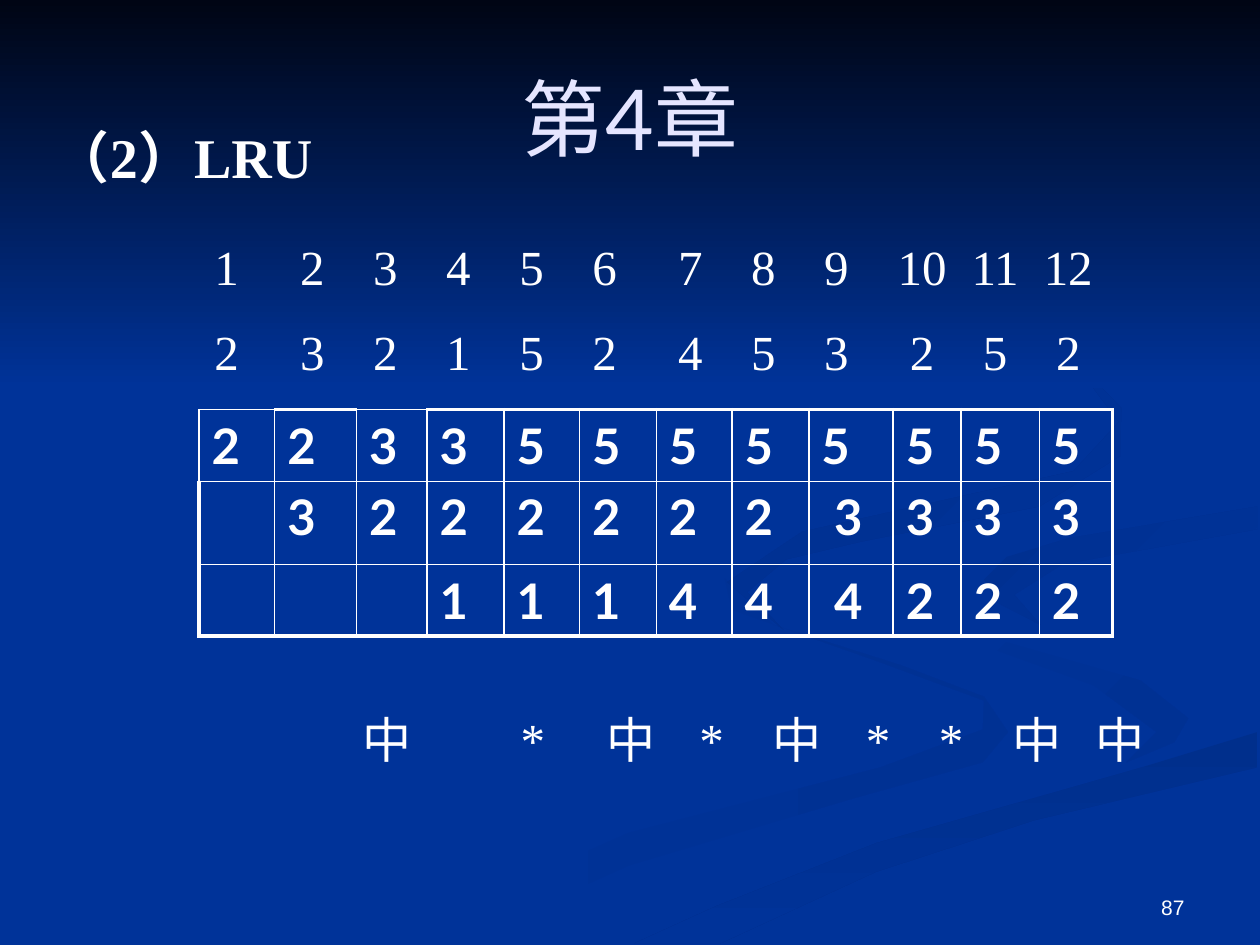
"""Build a slide that traces LRU page replacement over twelve references."""
from itertools import accumulate

from pptx import Presentation
from pptx import util as u
from pptx.dml.color import RGBColor
from pptx.enum import text
from pptx.oxml import parse_xml
from pptx.oxml.ns import nsdecls

COLORS = {"blue": "003399", "night": "000514", "white": "FFFFFF", "title": "E5E5FF",
          "wave": "003193", "swoosh": "002F8C", "ribbon": "003091", "loop": "002F8E"}
SERIF = "Times New Roman"

TITLE = "第4章"
SUBTITLE = "（2）LRU"
PAGE_NUMBER = "87"
STEPS = [str(step) for step in range(1, 13)]
REFERENCES = list("232152453252")
FRAMES = ["223355555555", " 32222223333", "   111444222"]
MARKS = list("中*中*中**中中")

FIRST_STEP, STEP_GAP, WIDE_GAP = 1.8, 0.58, 0.68
WIDE_STEPS = {"2", "7", "10"}
STEP_CENTERS = list(accumulate(
    (WIDE_GAP if step in WIDE_STEPS else STEP_GAP for step in STEPS[1:]), initial=FIRST_STEP))
MARK_CENTERS = [3.07, 4.23, 5.01, 5.65, 6.33, 6.97, 7.55, 8.23, 8.89]
COLUMN_WIDTHS = [0.6, 0.65, 0.56, 0.61, 0.6, 0.61, 0.6, 0.61, 0.67, 0.54, 0.62, 0.58]
ROW_HEIGHTS = [0.57, 0.66, 0.57]
THIN, THICK = 1, 2.25
THIN_EDGES = {(0, 0, "L"), (0, 0, "T"), (0, 2, "T")}
INDENTED_CELLS = {(1, 8), (2, 8)}

# Outlines are in hundredths of an inch: (first colour, last colour, angle, points).
BACKDROP = [
    ("blue", "wave", 0, [
        (781, 553), (715, 528), (614, 496), (575, 459), (581, 484), (697, 525), (781, 556),
        (780, 579), (699, 609), (499, 661), (300, 749), (361, 749), (499, 687), (676, 634),
        (780, 605), (800, 581)]),
    ("blue", "wave", 45, [
        (943, 570), (905, 540), (758, 498), (724, 464), (746, 500), (868, 544), (918, 581),
        (894, 605), (932, 589)]),
    ("swoosh", "blue", 90, [
        (503, 749), (571, 749), (695, 692), (821, 651), (998, 609), (998, 581), (903, 610),
        (696, 669), (569, 719)]),
    ("ribbon", "blue", 45, [
        (781, 460), (791, 478), (826, 496), (805, 472), (843, 448), (998, 420), (998, 402),
        (849, 427), (799, 442)]),
    ("loop", "blue", 45, [
        (683, 430), (825, 402), (889, 362), (890, 324), (843, 275), (762, 233), (846, 279),
        (888, 335), (852, 374), (637, 422), (577, 462), (622, 500), (593, 470), (624, 444)]),
    ("night", "blue", 90, [(0, 0), (0, 308), (1000, 308), (1000, 0)]),
]


def rgb(name):
    return RGBColor.from_string(COLORS[name])


def add_outline(page, first, last, angle, points):
    builder = page.shapes.build_freeform(*points[0], scale=u.Inches(0.01))
    builder.add_line_segments(points[1:], close=True)
    shape = builder.convert_to_shape()
    shape.shadow.inherit = False
    shape.line.fill.background()
    shape.fill.gradient()
    shape.fill.gradient_angle = (360 - angle) % 360
    for stop, name in zip(shape.fill.gradient_stops, (first, last)):
        stop.color.rgb = rgb(name)


def style(paragraph, size, font, color="white", bold=False):
    for span in paragraph.runs:
        span.font.size = u.Pt(size)
        span.font.name = font
        span.font.bold = bold
        span.font.color.rgb = rgb(color)


def add_text(page, left, top, width, height, lines, size, font, bold=False, centers=()):
    box = page.shapes.add_textbox(*map(u.Inches, (left, top, width, height)))
    frame = box.text_frame
    frame.word_wrap = True
    frame.text = "\n".join(lines)
    for index, paragraph in enumerate(frame.paragraphs):
        if centers:
            stops = "".join(f'<a:tab pos="{u.Inches(center - left - 0.1)}" algn="ctr"/>'
                            for center in centers)
            paragraph._p.get_or_add_pPr().append(
                parse_xml(f'<a:tabLst {nsdecls("a")}>{stops}</a:tabLst>'))
        if index:
            paragraph.space_before = u.Pt(15)
        style(paragraph, size, font, bold=bold)
    return frame


def tabbed(entries):
    return "".join("\t" + entry for entry in entries)


def set_borders(cell, row, column):
    outer = {"L": column == 0, "R": column == len(COLUMN_WIDTHS) - 1,
             "T": row == 0, "B": row == len(ROW_HEIGHTS) - 1}
    properties = cell._tc.get_or_add_tcPr()
    for position, (side, is_outer) in enumerate(outer.items()):
        thick = is_outer and (row, column, side) not in THIN_EDGES
        properties.insert(position, parse_xml(
            f'<a:ln{side} {nsdecls("a")} w="{u.Pt(THICK if thick else THIN)}"><a:solidFill>'
            f'<a:srgbClr val="{COLORS["white"]}"/></a:solidFill></a:ln{side}>'))


def add_frames(page):
    table = page.shapes.add_table(
        len(FRAMES), len(COLUMN_WIDTHS), u.Inches(1.58), u.Inches(3.25),
        u.Inches(sum(COLUMN_WIDTHS)), u.Inches(sum(ROW_HEIGHTS))).table
    table.first_row = table.horz_banding = False
    for column, width in zip(table.columns, COLUMN_WIDTHS):
        column.width = u.Inches(width)
    for row, height in enumerate(ROW_HEIGHTS):
        table.rows[row].height = u.Inches(height)
        for column, value in enumerate(FRAMES[row]):
            cell = table.cell(row, column)
            cell.text = value.strip()
            cell.margin_left = u.Inches(0.2 if (row, column) in INDENTED_CELLS else 0.1)
            cell.fill.background()
            style(cell.text_frame.paragraphs[0], 28, "Lato", bold=True)
            set_borders(cell, row, column)


def main():
    deck = Presentation()
    deck.slide_width, deck.slide_height = u.Inches(10), u.Inches(7.5)
    page = deck.slides.add_slide(deck.slide_layouts[5])
    page.background.fill.solid()
    page.background.fill.fore_color.rgb = rgb("blue")
    for outline in BACKDROP:
        add_outline(page, *outline)

    number = add_text(page, 7.17, 6.83, 2.33, 0.52, [PAGE_NUMBER], 12, "Arial")
    number.vertical_anchor = text.MSO_ANCHOR.BOTTOM
    number.paragraphs[0].alignment = text.PP_ALIGN.RIGHT
    add_text(page, 0.33, 0.92, 3, 0.63, [SUBTITLE], 32, SERIF, bold=True)
    add_frames(page)
    add_text(page, 1.42, 1.83, 7.5, 1.27, [tabbed(STEPS), tabbed(REFERENCES)], 28, SERIF,
             centers=STEP_CENTERS)
    add_text(page, 2.17, 5.58, 7.42, 0.57, [tabbed(MARKS)], 28, SERIF, centers=MARK_CENTERS)

    title = page.shapes.title
    title.left, title.top, title.width, title.height = map(u.Inches, (0.5, 0.3, 9, 1.25))
    title.text_frame.text = TITLE
    title.text_frame.vertical_anchor = text.MSO_ANCHOR.MIDDLE
    title.text_frame.paragraphs[0].alignment = text.PP_ALIGN.CENTER
    style(title.text_frame.paragraphs[0], 48, "Lato", "title")
    title.element.getparent().append(title.element)
    deck.save("out.pptx")


if __name__ == "__main__":
    main()
